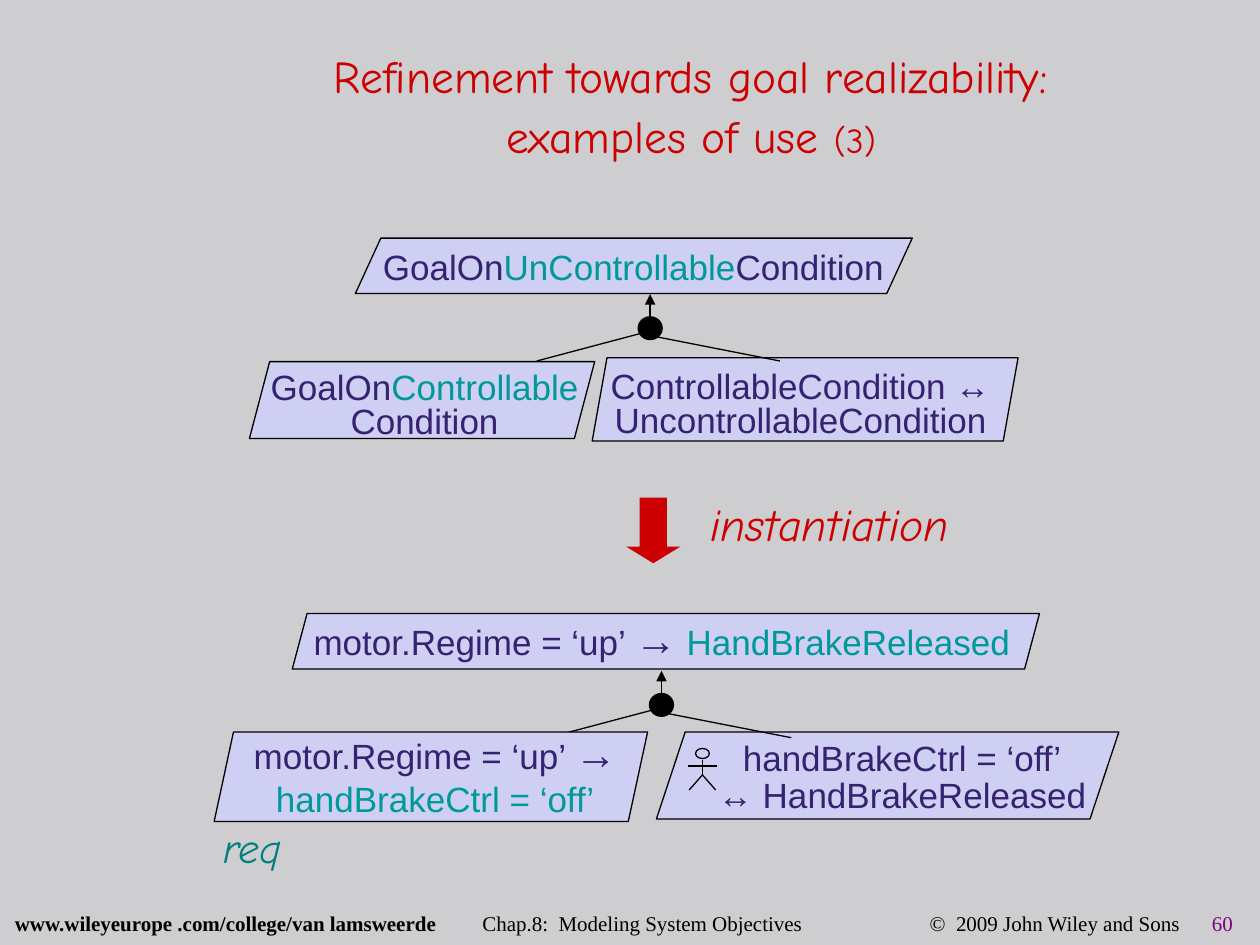
from dataclasses import dataclass

from lxml import etree
from pptx import Presentation
from pptx.dml.color import RGBColor
from pptx.enum.shapes import MSO_CONNECTOR as Connector, MSO_SHAPE as Shape
from pptx.enum.text import MSO_ANCHOR as Anchor, PP_ALIGN as Align
from pptx.oxml.ns import qn
from pptx.util import Inches, Pt

# Grid: 100 columns by 75 rows of 0.1 inch
COLUMNS, ROWS, CELL = 100, 75, 0.1

GREY = RGBColor(0xCE, 0xCE, 0xD0)
LILAC = RGBColor(0xCE, 0xCF, 0xF2)
INDIGO = RGBColor(0x35, 0x22, 0x70)
TEAL = RGBColor(0x00, 0x99, 0x99)
DARK_TEAL = RGBColor(0x00, 0x80, 0x80)
RED = RGBColor(0xCC, 0x00, 0x00)
PURPLE = RGBColor(0x80, 0x00, 0x80)
BLACK = RGBColor(0x00, 0x00, 0x00)

SANS, HAND, SERIF = "Arial", "Comic Neue", "Times New Roman"


def cells(count):
    return Inches(count * CELL)


@dataclass
class Box:
    left: float
    top: float
    width: float
    height: float

    def inside(self, left, top, width, height):
        return Box(self.left + left, self.top + top, width, height)

    def lengths(self):
        return [cells(n) for n in (self.left, self.top, self.width, self.height)]


@dataclass
class Run:
    text: str
    color: RGBColor = INDIGO
    size: int = 20
    font: str = SANS
    bold: bool = False
    italic: bool = False


@dataclass
class Line:
    runs: list
    align: Align = Align.CENTER
    spacing: float = 0.8


@dataclass
class Node:
    frame: tuple
    slant: float
    text_frame: tuple
    lines: list


def add_run(paragraph, run):
    part = paragraph.add_run()
    part.text = run.text
    font = part.font
    font.name, font.size = run.font, Pt(run.size)
    font.bold, font.italic = run.bold, run.italic
    font.color.rgb = run.color


def add_text(slide, box, lines):
    frame = slide.shapes.add_textbox(*box.lengths()).text_frame
    frame.word_wrap = True
    for index, line in enumerate(lines):
        paragraph = frame.add_paragraph() if index else frame.paragraphs[0]
        paragraph.alignment, paragraph.line_spacing = line.align, line.spacing
        for run in line.runs:
            add_run(paragraph, run)
    return frame


def add_shape(slide, kind, box, fill=None, line=None, weight=0.75, adjustments=()):
    shape = slide.shapes.add_shape(kind, *box.lengths())
    shape.shadow.inherit = False
    for index, value in enumerate(adjustments):
        shape.adjustments[index] = value
    if fill is None:
        shape.fill.background()
    else:
        shape.fill.solid()
        shape.fill.fore_color.rgb = fill
    if line is None:
        shape.line.fill.background()
    else:
        shape.line.color.rgb = line
        shape.line.width = Pt(weight)


def add_line(slide, x1, y1, x2, y2, arrow=False):
    connector = slide.shapes.add_connector(
        Connector.STRAIGHT, cells(x1), cells(y1), cells(x2), cells(y2))
    connector.line.color.rgb = BLACK
    connector.line.width = Pt(0.75)
    if arrow:
        etree.SubElement(connector.line._get_or_add_ln(), qn("a:tailEnd"), type="triangle")
    etree.SubElement(connector._element.spPr, qn("a:effectLst"))


def add_title(slide, box):
    title = slide.shapes.title
    title.left, title.top, title.width, title.height = box.lengths()
    title.text_frame.vertical_anchor = Anchor.MIDDLE
    paragraph = title.text_frame.paragraphs[0]
    paragraph.alignment, paragraph.line_spacing = Align.CENTER, 1.1
    add_run(paragraph, Run("Refinement towards goal realizability:", RED, 26, HAND))
    paragraph.add_line_break()
    add_run(paragraph, Run("examples of use ", RED, 26, HAND))
    add_run(paragraph, Run("(3)", RED, 20, HAND))


def add_refinement(slide, box, nodes, dot_x, dot_y):
    """A goal above its two subgoals, joined through a dot."""
    x, y = box.left + dot_x, box.top + dot_y
    # The left link passes behind its subgoal, the right one in front
    add_line(slide, x - 0.7, y + 0.4, x - 9, y + 2.6)
    for node in nodes:
        add_shape(slide, Shape.PARALLELOGRAM, box.inside(*node.frame), LILAC, BLACK,
                  adjustments=[node.slant])
        add_text(slide, box.inside(*node.text_frame), node.lines)
    add_line(slide, x, y - 0.7, x, y - 2.7, arrow=True)
    add_line(slide, x + 0.6, y + 0.7, x + 10.3, y + 2.6)
    add_shape(slide, Shape.OVAL, Box(x - 0.9, y - 0.85, 1.8, 1.7), BLACK, BLACK, 1.5)


def add_instantiation(slide, box):
    add_shape(slide, Shape.DOWN_ARROW, box.inside(0, 0.6, 4.3, 5.2), RED,
              adjustments=[0.5, 0.306])
    add_text(slide, box.inside(5.7, 0, 25.8, 3.9),
             [Line([Run("instantiation", RED, 26, HAND, italic=True)], Align.LEFT, 1.0)])


def add_agent(slide, box):
    """Stick figure: head, trunk, arms and legs."""
    middle, bottom = box.left + box.width / 2, box.top + box.height
    hip = box.top + 2.1
    add_shape(slide, Shape.OVAL, box.inside(box.width / 2 - 0.55, 0, 1.1, 0.8), line=BLACK)
    add_line(slide, middle, box.top + 0.9, middle, hip)
    add_line(slide, box.left, box.top + 1.4, box.left + box.width, box.top + 1.4)
    for side in (-1, 1):
        add_line(slide, middle, hip, middle + side * 1.05, bottom)


def add_footer(slide, box):
    runs = [Run("www.wileyeurope .com/college/van lamsweerde", BLACK, 12, SERIF, bold=True),
            Run("\tChap.8:  Modeling System Objectives", BLACK, 12, SERIF),
            Run("\t©  2009 John Wiley and Sons", BLACK, 12, SERIF),
            Run("\t60", PURPLE, 12, SERIF)]
    frame = add_text(slide, box, [Line([], Align.LEFT, 0.7)])
    paragraph = frame.paragraphs[0]
    tabs = etree.SubElement(paragraph._p.get_or_add_pPr(), qn("a:tabLst"))
    for column in (37.1, 72.6, 95):
        etree.SubElement(tabs, qn("a:tab"), pos=str(cells(column)), algn="l")
    for run in runs:
        add_run(paragraph, run)


def main():
    presentation = Presentation()
    presentation.slide_width, presentation.slide_height = cells(COLUMNS), cells(ROWS)
    slide = presentation.slides.add_slide(presentation.slide_layouts[5])
    slide.background.fill.solid()
    slide.background.fill.fore_color.rgb = GREY

    add_footer(slide, Box(0.2, 72.3, 99.7, 2.4))
    add_title(slide, Box(9.8, 3.1, 90.1, 10.1))

    # Generic pattern
    pattern = [
        Node((8.4, 0, 44.2, 4.4), 0.46, (9.6, 0.1, 43.1, 3.9),
             [Line([Run("GoalOn"), Run("UnControllable", TEAL), Run("Condition")],
                   Align.LEFT, 1.0)]),
        Node((0, 9.8, 27.4, 6.1), 0.264, (0, 10.3, 27.8, 5.7),
             [Line([Run("GoalOn"), Run("Controllable", TEAL)]), Line([Run("Condition")])]),
        Node((27.2, 9.5, 33.8, 6.6), 0.178, (27.6, 10.2, 32.3, 5.7),
             [Line([Run("ControllableCondition ↔")]), Line([Run("UncontrollableCondition")])]),
    ]
    add_refinement(slide, Box(19.8, 18.9, 61, 16.1), pattern, 31.8, 7.15)

    add_instantiation(slide, Box(49.7, 38.9, 31.5, 5.8))

    # Instantiated pattern
    instance = [
        Node((6.2, 0, 59.3, 4.4), 0.267, (6.9, 0.3, 57.7, 3.9),
             [Line([Run("motor.Regime = ‘up’ "), Run("→", size=24), Run(" "),
                    Run("HandBrakeReleased", TEAL)], Align.LEFT)]),
        Node((0, 9.4, 34.4, 7.1), 0.216, (0.6, 9.3, 33.9, 5.7),
             [Line([Run("motor.Regime = ‘up’ "), Run("→", size=24)]),
              Line([Run("handBrakeCtrl = ‘off’", TEAL)], spacing=1.0)]),
        Node((35.1, 9.4, 36.7, 6.9), 0.331, (38.7, 9.9, 31.8, 6.1),
             [Line([Run("handBrakeCtrl = ‘off’")]),
              Line([Run("↔ HandBrakeReleased")], spacing=0.9)]),
    ]
    add_refinement(slide, Box(17, 48.7, 71.8, 16.5), instance, 35.5, 7.25)
    add_text(slide, Box(16.7, 65.5, 10.6, 4.3),
             [Line([Run("req", DARK_TEAL, 24, HAND, italic=True)], Align.LEFT)])
    add_agent(slide, Box(54.6, 59.4, 2.3, 3.3))

    presentation.save("out.pptx")


if __name__ == "__main__":
    main()
